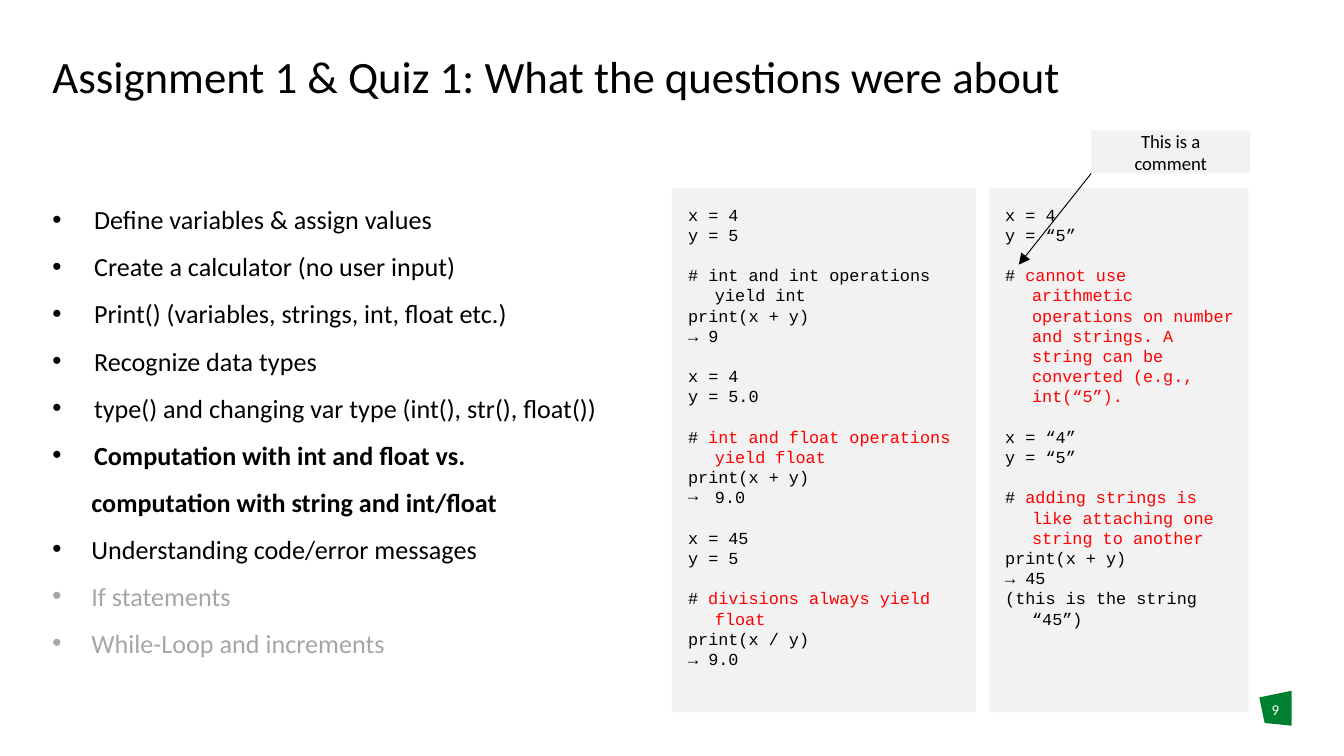
from lxml.etree import SubElement
from pptx import Presentation
from pptx.dml.color import RGBColor
from pptx.enum.shapes import MSO_CONNECTOR, MSO_SHAPE
from pptx.enum.text import MSO_ANCHOR, PP_ALIGN
from pptx.oxml.ns import qn
from pptx.util import Inches, Pt

HUES = {
    "ink": "000000",
    "paper": "FFFFFF",
    "panel": "F2F2F2",
    "note": "FF0000",
    "faded": "A6A6A6",
    "badge": "00802F",
}

TOPICS = [
    ("Define variables & assign values", {}),
    ("Create a calculator (no user input)", {}),
    ("Print() (variables, strings, int, float etc.)", {}),
    ("Recognize data types", {}),
    ("type() and changing var type (int(), str(), float())", {}),
    ("Computation with int and float vs.", {"bold": True}),
    ("computation with string and int/float",
     {"bold": True, "mark": None, "left": 0.29, "hang": 0}),
    ("Understanding code/error messages", {"left": 0.29, "hang": 0.29}),
    ("If statements", {"left": 0.29, "hang": 0.29, "hue": "faded"}),
    ("While-Loop and increments", {"left": 0.29, "hang": 0.29, "hue": "faded"}),
]

NUMBERS = [
    ["x = 4", "y = 5"],
    ["# int and int operations yield int", "print(x + y)", "→ 9"],
    ["x = 4", "y = 5.0"],
    ["# |int and float operations yield float", "print(x + y)", "→|9.0"],
    ["x = 45", "y = 5"],
    ["# |divisions always yield float", "print(x / y)", "→ 9.0"],
]

STRINGS = [
    ["x = 4", "y = “5”"],
    ["# |cannot use arithmetic operations on number and strings. "
     "A string can be converted (e.g., int(“5”)."],
    ["x = “4”", "y = “5”"],
    ["# |adding strings is like attaching one string to another",
     "print(x + y)", "→ 45", "(this is the string “45”)"],
]


def color(name):
    return RGBColor.from_string(HUES[name])


def write(frame, text, size=9, face="Calibri", hue="ink", bold=False, align=PP_ALIGN.LEFT,
          line=None, before=0, left=0, hang=0, mark=None, glyph="Arial", tail=""):
    para = frame.paragraphs[0]
    if para.runs:
        para = frame.add_paragraph()
    props = para._p.get_or_add_pPr()
    props.set("marL", str(Inches(left)))
    props.set("indent", str(-Inches(hang)))
    if mark:
        SubElement(props, qn("a:buFont")).set("typeface", glyph)
        SubElement(props, qn("a:buChar")).set("char", mark)
    else:
        SubElement(props, qn("a:buNone"))
    para.alignment = align
    if line:
        para.line_spacing = line
    if before:
        para.space_before = Pt(before)
    for part, tint in ((text, hue), (tail, "note")):
        if part:
            run = para.add_run()
            run.text = part
            run.font.size = Pt(size)
            run.font.name = face
            run.font.bold = bold
            run.font.color.rgb = color(tint)


def pad(frame, left=0, top=0, right=0, low=0):
    frame.word_wrap = True
    frame.margin_left, frame.margin_top = Inches(left), Inches(top)
    frame.margin_right, frame.margin_bottom = Inches(right), Inches(low)
    return frame


def add_text(slide, box):
    return pad(slide.shapes.add_textbox(*map(Inches, box)).text_frame)


def paint(shape, hue):
    shape.shadow.inherit = False
    shape.fill.solid()
    shape.fill.fore_color.rgb = color(hue)
    shape.line.fill.background()


def add_panel(slide, box):
    shape = slide.shapes.add_shape(MSO_SHAPE.RECTANGLE, *map(Inches, box))
    paint(shape, "panel")
    return shape.text_frame


def add_title(slide, box):
    write(add_text(slide, box), "Assignment 1 & Quiz 1: What the questions were about",
          size=24, line=0.9)


def add_topics(slide, box):
    frame = add_text(slide, box)
    for text, style in TOPICS:
        base = {"size": 14, "line": 1.5, "left": 0.31, "hang": 0.31, "mark": "•"}
        write(frame, text, **{**base, **style})


def add_code(slide, box, groups):
    frame = pad(add_panel(slide, box), 0.12, 0.12, 0.1, 0.08)
    frame.vertical_anchor = MSO_ANCHOR.TOP
    for rank, group in enumerate(groups):
        for row, text in enumerate(group):
            head, _, tail = text.partition("|")
            style = {"tail": tail}
            if head == "→":
                head, style = tail, {"mark": "→", "glyph": "Courier New"}
            gap = 10.8 if rank and row == 0 else 0
            write(frame, head, face="Courier New", left=0.2, hang=0.2, before=gap, **style)


def add_callout(slide, box, target):
    left, top, _, high = box
    ends = (left, top + high, *target)
    arrow = slide.shapes.add_connector(MSO_CONNECTOR.STRAIGHT, *map(Inches, ends))
    arrow.line.width = Pt(0.5)
    arrow.line.color.rgb = color("ink")
    SubElement(arrow.line._get_or_add_ln(), qn("a:tailEnd")).set("type", "triangle")
    SubElement(arrow._element.spPr, qn("a:effectLst"))
    frame = pad(add_panel(slide, box), 0.1, 0.05, 0.1, 0.05)
    frame.vertical_anchor = MSO_ANCHOR.MIDDLE
    write(frame, "This is a comment", size=10, align=PP_ALIGN.CENTER)


def add_badge(slide, box):
    left, top, wide, high = box
    spots = [(0, 0.05), (wide, 0), (wide, high), (0.04, high - 0.02)]
    spots = [(Inches(left + x), Inches(top + y)) for x, y in spots]
    edge = slide.shapes.build_freeform(*spots[0])
    edge.add_line_segments(spots[1:], close=True)
    paint(edge.convert_to_shape(), "badge")
    write(add_text(slide, (left, top + 0.07, wide, 0.3)), "9", size=8, hue="paper",
          align=PP_ALIGN.CENTER)


def main():
    deck = Presentation()
    deck.slide_width = Inches(10)
    deck.slide_height = deck.slide_width * 9 // 16
    slide = deck.slides.add_slide(deck.slide_layouts[6])
    add_badge(slide, (9.37, 5.14, 0.24, 0.26))
    add_title(slide, (0.39, 0.41, 9.22, 0.67))
    add_topics(slide, (0.39, 1.4, 4.51, 3.5))
    add_code(slide, (5, 1.4, 2.26, 3.9), NUMBERS)
    add_code(slide, (7.36, 1.4, 1.93, 3.9), STRINGS)
    add_callout(slide, (8.12, 0.97, 1.18, 0.32), (7.58, 1.97))
    deck.save("out.pptx")


if __name__ == "__main__":
    main()
